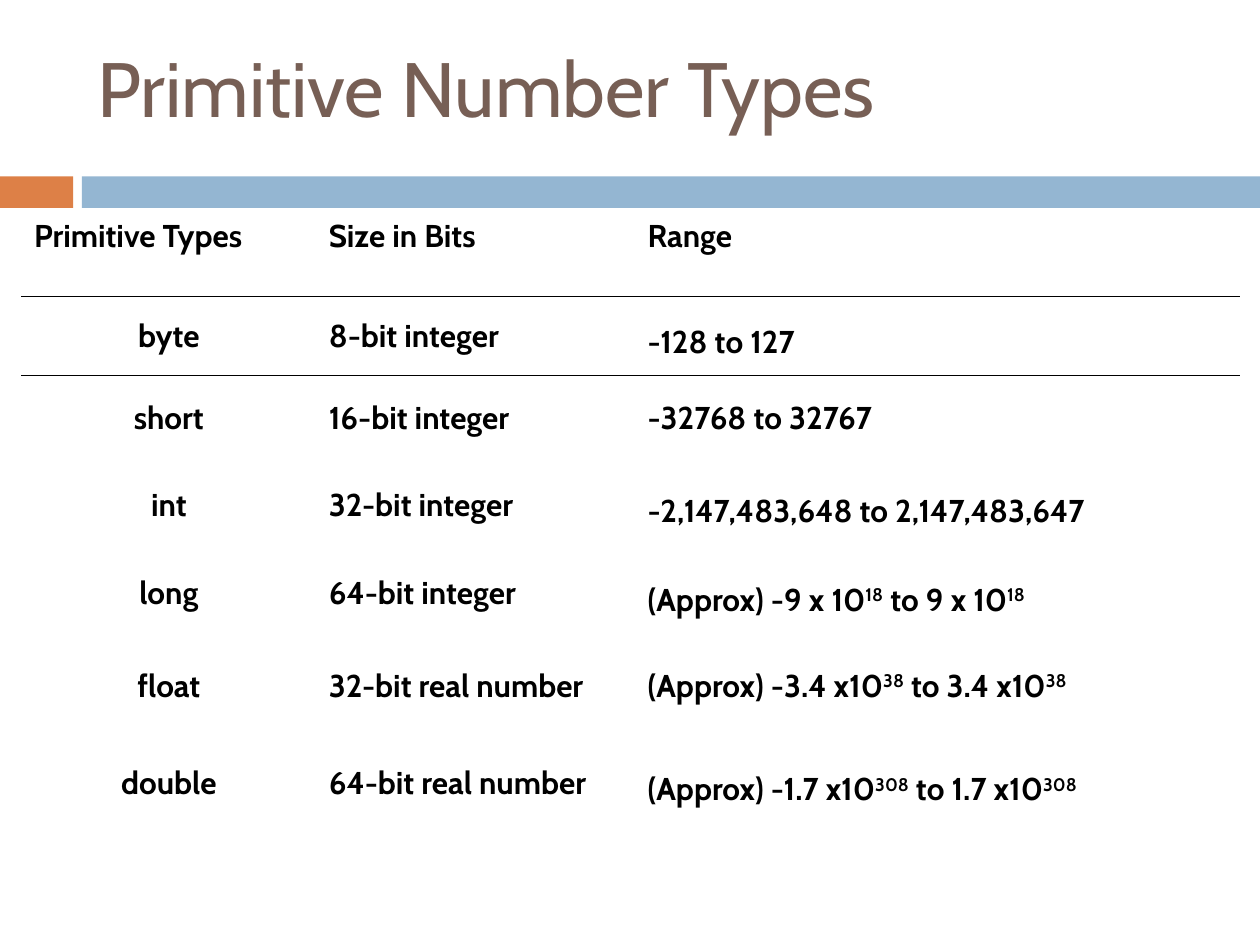
import pptx
import pptx.util
import pptx.dml.color
import pptx.enum.shapes
import pptx.enum.text
import pptx.oxml
import pptx.oxml.ns

Inches, Pt = pptx.util.Inches, pptx.util.Pt
ALIGN, ANCHOR = pptx.enum.text.PP_ALIGN, pptx.enum.text.MSO_ANCHOR

TITLE = "Primitive Number Types"
BANDS = [(0, 0.58, "DD8047"), (0.65, 9.35, "94B6D2")]
COLS = [2.34, 2.53, 4.8]
HEIGHTS = [0.68, 0.63, 0.68, 0.7, 0.7, 0.77, 0.77]
ROWS = [
    ("Primitive Types", "Size in Bits", ["Range"]),
    ("byte", "8-bit integer", ["-128 to 127"]),
    ("short", "16-bit integer", ["-32768 to 32767"]),
    ("int", "32-bit integer", ["-2,147,483,648 to 2,147,483,647"]),
    ("long", "64-bit integer", ["(Approx) -9 x 10", "18", " to 9 x 10", "18"]),
    ("float", "32-bit real number", ["(Approx) -3.4 x10", "38", " to 3.4 x10", "38"]),
    ("double", "64-bit real number", ["(Approx) -1.7 x10", "308", " to 1.7 x10", "308"]),
]
TALL = {"byte", "int", "long", "double"}
PLAIN = "{2D5ABB26-0587-4C30-8999-92F81FD0307C}"


def color(code):
    return pptx.dml.color.RGBColor.from_string(code)


def write(para, text, size, code="000000", bold=True, raised=False):
    run = para.add_run()
    run.text = text
    font = run.font
    font.name, font.size, font.bold = "Cabin", Pt(size), bold
    font.color.rgb = color(code)
    if raised:
        run._r.get_or_add_rPr().set("baseline", "30000")


def rule(cell, side):
    line = pptx.oxml.parse_xml(
        f'<a:{side} {pptx.oxml.ns.nsdecls("a")} w="{Pt(0.45)}"><a:solidFill>'
        f'<a:srgbClr val="000000"/></a:solidFill></a:{side}>')
    cell._tc.get_or_add_tcPr().insert(0, line)


def add_bands(slide):
    for left, width, code in BANDS:
        band = slide.shapes.add_shape(
            pptx.enum.shapes.MSO_SHAPE.RECTANGLE,
            Inches(left), Inches(1.4), Inches(width), Inches(0.25))
        band.shadow.inherit = False
        band.fill.solid()
        band.fill.fore_color.rgb = color(code)
        band.line.fill.background()


def add_title(slide):
    title = slide.shapes.title
    title.left, title.top = Inches(0.67), Inches(0.25)
    title.width, title.height = Inches(8.92), Inches(1.08)
    frame = title.text_frame
    frame.vertical_anchor = ANCHOR.TOP
    frame.margin_top = Inches(0.07)
    para = frame.paragraphs[0]
    para.alignment = ALIGN.LEFT
    write(para, TITLE, 44, "775F55", False)


def add_types(slide):
    table = slide.shapes.add_table(
        len(ROWS), len(COLS), Inches(0.17), Inches(1.67),
        Inches(sum(COLS)), Inches(sum(HEIGHTS))).table
    table.first_row = table.horz_banding = False
    table._tbl.tblPr.find(pptx.oxml.ns.qn("a:tableStyleId")).text = PLAIN
    for col, width in zip(table.columns, COLS):
        col.width = Inches(width)
    for r, (name, size, span) in enumerate(ROWS):
        table.rows[r].height = Inches(HEIGHTS[r])
        for c, parts in enumerate(([name], [size], span)):
            cell = table.cell(r, c)
            cell.fill.background()
            cell.vertical_anchor = ANCHOR.MIDDLE if r else ANCHOR.TOP
            para = cell.text_frame.paragraphs[0]
            para.alignment = ALIGN.CENTER if r and c == 0 else ALIGN.LEFT
            for i, part in enumerate(parts):
                write(para, part, 18, raised=i % 2 == 1)
            if c == 2 and name in TALL:
                write(para, " ", 28)
            if r < 2:
                rule(cell, "lnT" if r else "lnB")


def main():
    """Build the slide on primitive number types."""
    deck = pptx.Presentation()
    deck.slide_width, deck.slide_height = Inches(10), Inches(7.5)
    slide = deck.slides.add_slide(deck.slide_layouts[5])
    add_bands(slide)
    add_title(slide)
    add_types(slide)
    deck.save("out.pptx")


if __name__ == "__main__":
    main()
